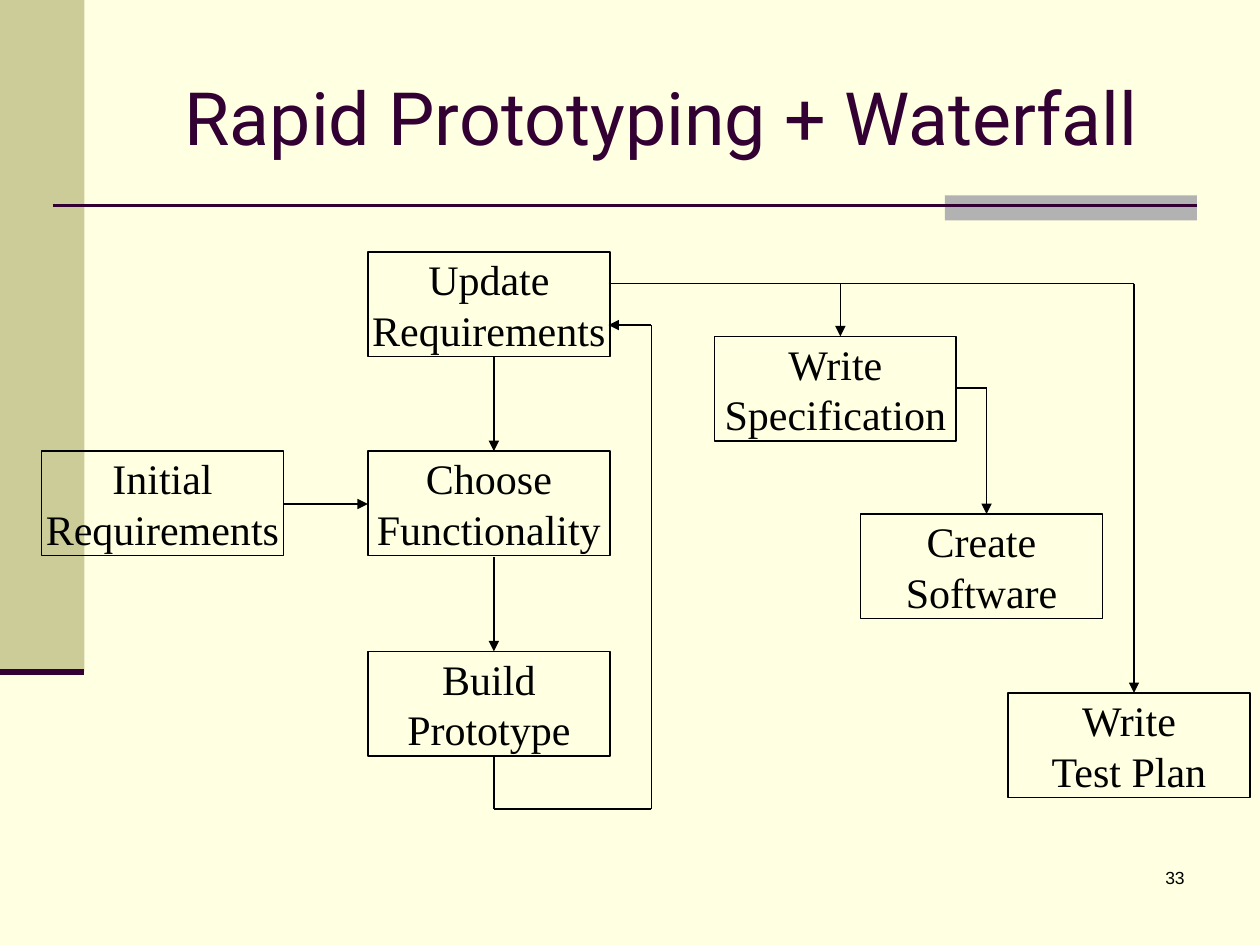
from dataclasses import dataclass
from itertools import pairwise

from lxml.etree import SubElement
from pptx import Presentation
from pptx.dml.color import RGBColor
from pptx.enum.shapes import MSO_CONNECTOR as Connector, MSO_SHAPE as Shape
from pptx.enum.text import MSO_ANCHOR as Anchor, MSO_AUTO_SIZE as AutoSize, PP_ALIGN as Align
from pptx.oxml.ns import qn
from pptx.util import Inches, Pt

CREAM, KHAKI, GRAY, PLUM, BLACK = "FFFFE1", "CCCC99", "B2B2B2", "330033", "000000"
STEP_WIDTH, STEP_HEIGHT = 1.92, 0.83
Point = tuple[float, float]


@dataclass(frozen=True)
class Step:
    left: float
    top: float
    lines: tuple[str, str]


@dataclass(frozen=True)
class Flow:
    points: tuple[Point, ...]
    arrow: bool = True


STEPS = (
    Step(2.92, 2, ("Update", "Requirements")),
    Step(2.92, 3.58, ("Choose", "Functionality")),
    Step(2.92, 5.17, ("Build", "Prototype")),
    Step(0.33, 3.58, ("Initial", "Requirements")),
    Step(5.67, 2.67, ("Write", "Specification")),
    Step(6.83, 4.08, ("Create", "Software")),
    Step(8, 5.5, ("Write", "Test Plan")),
)
FLOWS = (
    Flow(((3.92, 2.83), (3.92, 3.58))),
    Flow(((3.92, 4.42), (3.92, 5.17))),
    Flow(((2.25, 4), (2.92, 4))),
    Flow(((3.92, 6), (3.92, 6.42), (5.17, 6.42), (5.17, 2.58), (4.83, 2.58))),
    Flow(((4.83, 2.25), (9, 2.25), (9, 5.5))),
    Flow(((6.67, 2.25), (6.67, 2.67))),
    Flow(((7.58, 3.08), (7.83, 3.08), (7.83, 4.08))),
)


def color(value: str) -> RGBColor:
    return RGBColor.from_string(value)


def style_paragraph(paragraph, font: str, size: float, ink: str, align: Align) -> None:
    paragraph.alignment = align
    paragraph.font.name = font
    paragraph.font.size = Pt(size)
    paragraph.font.color.rgb = color(ink)


def add_rectangle(shapes, left: float, top: float, width: float, height: float):
    rectangle = shapes.add_shape(
        Shape.RECTANGLE, Inches(left), Inches(top), Inches(width), Inches(height))
    rectangle.shadow.inherit = False
    return rectangle


def add_band(shapes, left: float, top: float, width: float, height: float, fill: str) -> None:
    band = add_rectangle(shapes, left, top, width, height)
    band.fill.solid()
    band.fill.fore_color.rgb = color(fill)
    band.line.fill.background()


def add_line(shapes, start: Point, end: Point, ink: str = BLACK, weight: float = 1,
             arrow: bool = False) -> None:
    line = shapes.add_connector(
        Connector.STRAIGHT, *(Inches(value) for value in (*start, *end)))
    line.line.color.rgb = color(ink)
    line.line.width = Pt(weight)
    if arrow:
        SubElement(line.line._get_or_add_ln(), qn("a:tailEnd"), type="triangle")
    SubElement(line._element.spPr, qn("a:effectLst"))


def add_step(shapes, step: Step) -> None:
    box = add_rectangle(shapes, step.left, step.top, STEP_WIDTH, STEP_HEIGHT)
    box.fill.background()
    box.line.color.rgb = color(BLACK)
    box.line.width = Pt(1)
    frame = box.text_frame
    frame.word_wrap = False
    frame.vertical_anchor = Anchor.MIDDLE
    frame.text = "\n".join(step.lines)
    for paragraph in frame.paragraphs:
        style_paragraph(paragraph, "Times New Roman", 24, BLACK, Align.CENTER)


def add_flow(shapes, flow: Flow) -> None:
    for start, end in pairwise(flow.points):
        add_line(shapes, start, end, arrow=flow.arrow and end == flow.points[-1])


def add_title(shapes, text: str) -> None:
    title = shapes.title
    title.left, title.top = Inches(1), Inches(0.3)
    title.width, title.height = Inches(8.5), Inches(1.25)
    frame = title.text_frame
    frame.text = text
    frame.auto_size = AutoSize.NONE
    frame.vertical_anchor = Anchor.MIDDLE
    style_paragraph(frame.paragraphs[0], "Roboto", 42, PLUM, Align.CENTER)


def add_page_number(shapes, number: str) -> None:
    page = shapes.add_textbox(Inches(7.42), Inches(6.83), Inches(2.08), Inches(0.5))
    page.text_frame.word_wrap = True
    page.text_frame.text = number
    style_paragraph(page.text_frame.paragraphs[0], "Arial", 10, BLACK, Align.RIGHT)


def main() -> None:
    deck = Presentation()
    deck.slide_width, deck.slide_height = Inches(10), Inches(7.5)
    slide = deck.slides.add_slide(deck.slide_layouts[5])
    slide.background.fill.solid()
    slide.background.fill.fore_color.rgb = color(CREAM)
    shapes = slide.shapes

    add_band(shapes, 0, 0, 0.67, 5.33, KHAKI)
    add_band(shapes, 7.5, 1.55, 2, 0.2, GRAY)
    add_line(shapes, (0.42, 1.63), (9.5, 1.63), PLUM, 1.5)
    add_line(shapes, (0, 5.33), (0.67, 5.33), PLUM, 3.5)
    add_page_number(shapes, "33")
    add_title(shapes, "Rapid Prototyping + Waterfall")
    for step in STEPS:
        add_step(shapes, step)
    for flow in FLOWS:
        add_flow(shapes, flow)

    deck.save("out.pptx")


if __name__ == "__main__":
    main()
